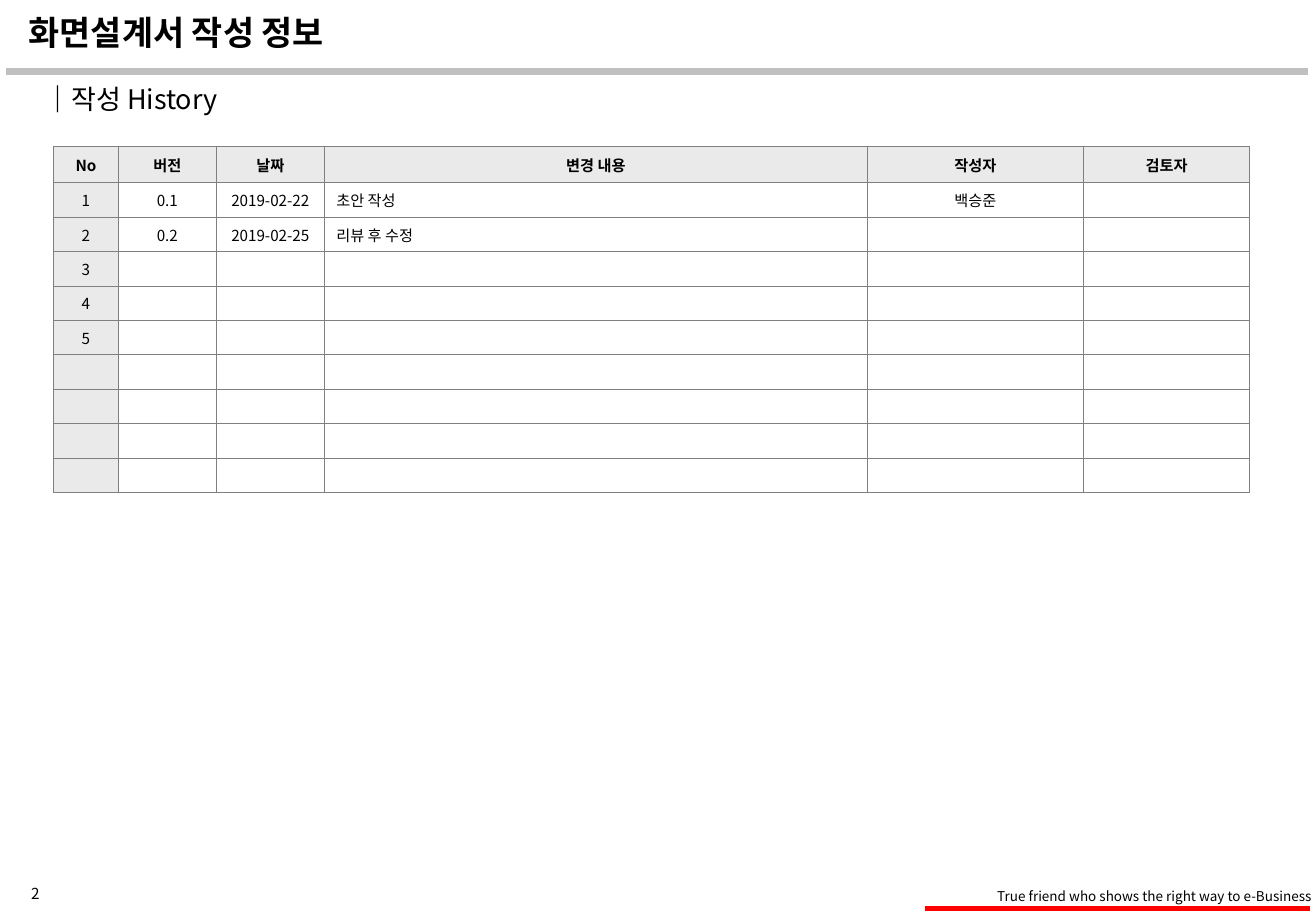
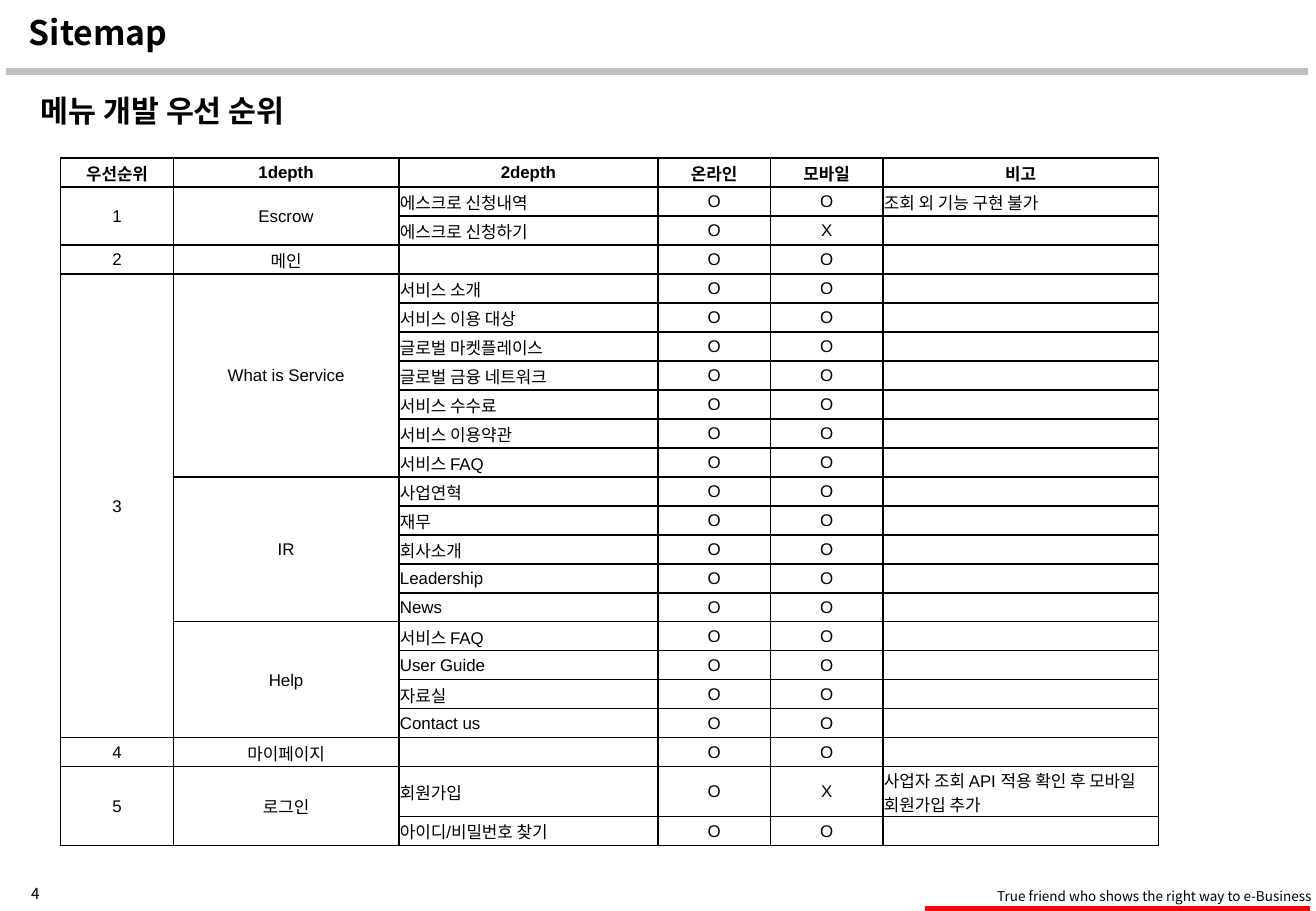
from dataclasses import dataclass

from lxml.etree import SubElement
from pptx import Presentation
from pptx.dml.color import RGBColor
from pptx.enum.shapes import MSO_CONNECTOR
from pptx.enum.text import MSO_ANCHOR, PP_ALIGN
from pptx.oxml.ns import qn
from pptx.util import Pt


@dataclass(frozen=True)
class Theme:
    black: str = "000000"
    white: str = "FFFFFF"
    band: str = "C0C0C0"
    accent: str = "FF0000"
    head_fill: str = "EAEAEA"
    grid: str = "808080"
    korean: str = "Noto Sans CJK KR"
    latin: str = "Arial"
    heading: str = "Calibri"
    title_size: int = 20
    menu_size: int = 18
    section_size: int = 16
    sitemap_size: int = 10
    body_size: int = 9
    footer_size: int = 8


T = Theme()


@dataclass(frozen=True)
class TableStyle:
    font: str
    size: int
    border: str
    border_width: float
    margins: tuple  # left, top, right, bottom
    head_fill: str
    body_fill: str
    left_columns: tuple


HISTORY_STYLE = TableStyle(T.korean, T.body_size, T.grid, 0.5,
                           (7.2, 3.6, 7.2, 3.6), T.head_fill, "", (3,))
SITEMAP_STYLE = TableStyle(T.latin, T.sitemap_size, T.black, 1,
                           (0.7, 0.7, 0.7, 0), T.white, T.white, (2, 5))

HISTORY_COLS = (38.5, 58, 64, 322, 128, 98.7)
HISTORY_ROWS = [
    ("No", "버전", "날짜", "변경 내용", "작성자", "검토자"),
    ("1", "0.1", "2019-02-22", "초안 작성", "백승준", ""),
    ("2", "0.2", "2019-02-25", "리뷰 후 수정", "", ""),
    *[(no, "", "", "", "", "") for no in ("3", "4", "5", "", "", "", "")],
]

SITEMAP_COLS = (66.7, 133.7, 153.5, 66.7, 66.7, 163.4)
SITEMAP_HEAD = ("우선순위", "1depth", "2depth", "온라인", "모바일", "비고")
# priority -> first-level menu -> second-level menus
SITEMAP = {
    "1": {"Escrow": ["에스크로 신청내역", "에스크로 신청하기"]},
    "2": {"메인": [""]},
    "3": {
        "What is Service": ["서비스 소개", "서비스 이용 대상", "글로벌 마켓플레이스",
                            "글로벌 금융 네트워크", "서비스 수수료", "서비스 이용약관",
                            "서비스 FAQ"],
        "IR": ["사업연혁", "재무", "회사소개", "Leadership", "News"],
        "Help": ["서비스 FAQ", "User Guide", "자료실", "Contact us"],
    },
    "4": {"마이페이지": [""]},
    "5": {"로그인": ["회원가입", "아이디/비밀번호 찾기"]},
}
NOT_ON_MOBILE = {"에스크로 신청하기", "회원가입"}
NOTES = {
    "에스크로 신청내역": "조회 외 기능 구현 불가",
    "회원가입": "사업자 조회 API 적용 확인 후 모바일 회원가입 추가",
}


def add_run(p, text, size, font=T.korean, bold=False):
    r = p.add_run()
    r.text = text
    r.font.size, r.font.name, r.font.bold = Pt(size), font, bold
    r.font.color.rgb = RGBColor.from_string(T.black)
    SubElement(r.font._element, qn("a:ea"), typeface=T.korean)


def add_text(s, box, runs, align=PP_ALIGN.LEFT, anchor=MSO_ANCHOR.TOP, wrap=True):
    """Place one paragraph; each run is (text, size, font, bold)."""
    tf = s.shapes.add_textbox(*map(Pt, box)).text_frame
    tf.word_wrap, tf.vertical_anchor = wrap, anchor
    p = tf.paragraphs[0]
    p.alignment = align
    for run in runs:
        add_run(p, *run)
    return p


def add_rule(s, x1, x2, y, color, width):
    line = s.shapes.add_connector(MSO_CONNECTOR.STRAIGHT, Pt(x1), Pt(y), Pt(x2), Pt(y))
    line.line.color.rgb = RGBColor.from_string(color)
    line.line.width = Pt(width)
    SubElement(line._element.spPr, qn("a:effectLst"))


def add_page(prs, title, number):
    """Add a slide with the title band and footer."""
    s = prs.slides.add_slide(prs.slide_layouts[6])
    add_rule(s, 3.8, 775.5, 42.3, T.band, 4.5)
    add_rule(s, 548.5, 776.3, 538.4, T.accent, 3)
    add_text(s, (584, 522.7, 207.4, 17),
             [("True friend who shows the right way to e-Business", T.footer_size)],
             wrap=False)
    add_text(s, (0, 520.6, 42, 18), [(number, T.body_size)],
             PP_ALIGN.CENTER, MSO_ANCHOR.MIDDLE)
    p = add_text(s, (10, 4, 760, 33.4), [(title, T.title_size, T.korean, True)],
                 anchor=MSO_ANCHOR.MIDDLE)
    p.line_spacing = 0.9
    return s


def set_borders(cell, color, width):
    """Draw all four edges; they must precede the fill in the cell properties."""
    tcPr = cell._tc.get_or_add_tcPr()
    for i, edge in enumerate(("a:lnL", "a:lnR", "a:lnT", "a:lnB")):
        ln = SubElement(tcPr, qn(edge), w=str(Pt(width)))
        SubElement(SubElement(ln, qn("a:solidFill")), qn("a:srgbClr"), val=color)
        tcPr.insert(i, ln)


def fill_cell(cell, text, style, is_head, fill, align):
    if fill:
        cell.fill.solid()
        cell.fill.fore_color.rgb = RGBColor.from_string(fill)
    else:
        cell.fill.background()
    set_borders(cell, style.border, style.border_width)
    (cell.margin_left, cell.margin_top,
     cell.margin_right, cell.margin_bottom) = map(Pt, style.margins)
    cell.vertical_anchor = MSO_ANCHOR.MIDDLE
    p = cell.text_frame.paragraphs[0]
    p.alignment = align
    if text:
        add_run(p, text, style.size, style.font, is_head)
    else:
        SubElement(p._p, qn("a:endParaRPr"), sz=str(style.size * 100))


def add_grid(s, left, top, cols, heights, rows, style):
    """Build a table; None joins a cell to the one above it."""
    table = s.shapes.add_table(len(rows), len(cols), Pt(left), Pt(top),
                               Pt(sum(cols)), Pt(sum(heights))).table
    table.first_row = table.horz_banding = False
    for column, width in zip(table.columns, cols):
        column.width = Pt(width)
    for row, height in zip(table.rows, heights):
        row.height = Pt(height)
    for i, row in enumerate(rows):
        for j, text in enumerate(row):
            is_left = i > 0 and j in style.left_columns
            fill_cell(table.cell(i, j), text, style, i == 0,
                      style.head_fill if i == 0 or j == 0 else style.body_fill,
                      PP_ALIGN.LEFT if is_left else PP_ALIGN.CENTER)
    for j in range(len(cols)):
        starts = [i for i, row in enumerate(rows) if row[j] is not None]
        for first, following in zip(starts, starts[1:] + [len(rows)]):
            if following - first > 1:
                table.cell(first, j).merge(table.cell(following - 1, j))


def sitemap_rows():
    rows = [SITEMAP_HEAD]
    for priority, menus in SITEMAP.items():
        rank = priority
        for menu, pages in menus.items():
            label = menu
            for page in pages:
                mobile = "X" if page in NOT_ON_MOBILE else "O"
                rows.append((rank, label, page, "O", mobile, NOTES.get(page, "")))
                rank = label = None
    return rows


def history_slide(prs):
    s = add_page(prs, "화면설계서 작성 정보", "2")
    add_text(s, (19.4, 45.4, 697.7, 33), [("｜", T.section_size, T.korean, True),
                                          ("작성 History", T.section_size)])
    heights = [21.6] + [20.4] * (len(HISTORY_ROWS) - 1)
    add_grid(s, 31.7, 86.8, HISTORY_COLS, heights, HISTORY_ROWS, HISTORY_STYLE)


def sitemap_slide(prs):
    s = add_page(prs, "Sitemap", "4")
    rows = sitemap_rows()
    heights = [29.6 if row[2] == "회원가입" else 17.2 for row in rows]
    add_grid(s, 36, 93.7, SITEMAP_COLS, heights, rows, SITEMAP_STYLE)
    add_text(s, (10, 51, 172.8, 29),
             [("메뉴 개발 우선 순위", T.menu_size, T.heading, True)],
             PP_ALIGN.CENTER, wrap=False)


def main():
    prs = Presentation()
    prs.slide_width, prs.slide_height = Pt(780), Pt(540)
    history_slide(prs)
    sitemap_slide(prs)
    prs.save("out.pptx")


if __name__ == "__main__":
    main()
